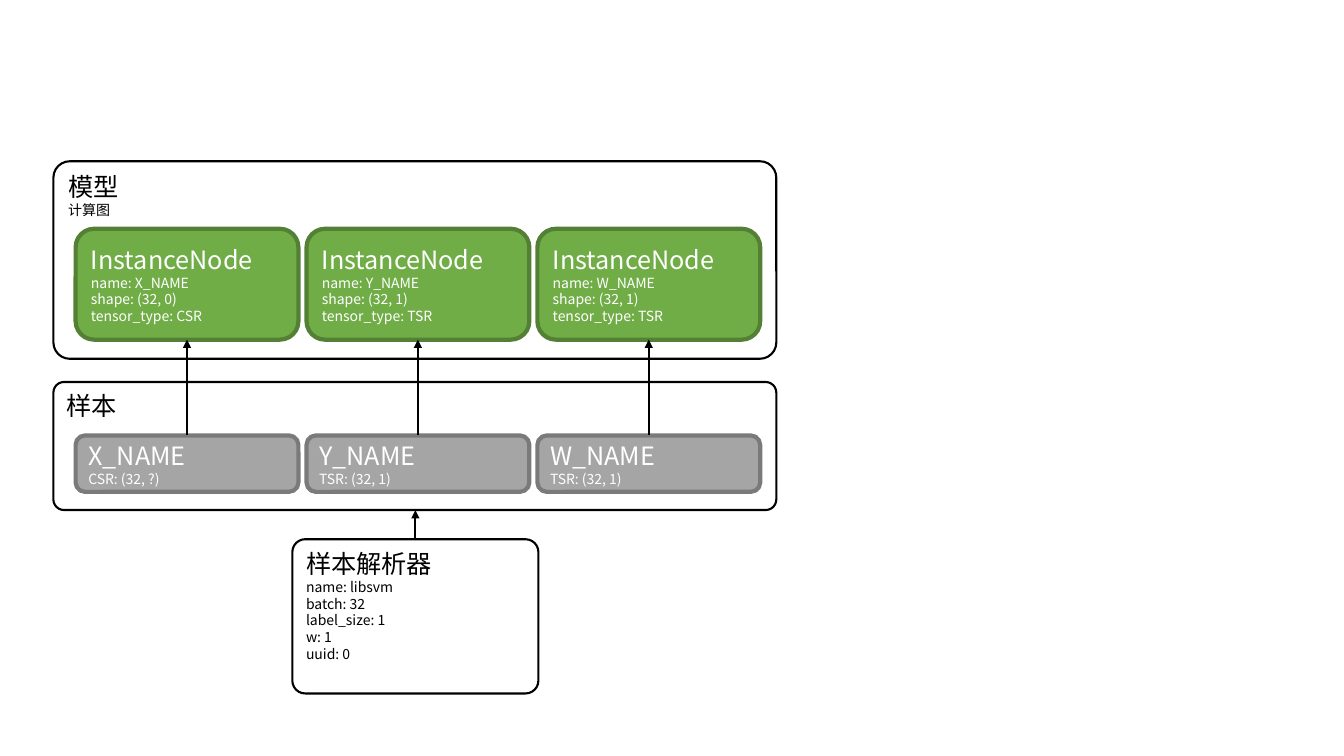
import pptx
import pptx.util
import pptx.dml.color
import pptx.enum.shapes
import pptx.enum.text
import pptx.oxml.ns
import lxml.etree

Inches = pptx.util.Inches
Pt = pptx.util.Pt
RGBColor = pptx.dml.color.RGBColor
Anchor = pptx.enum.text.MSO_ANCHOR

BLACK = RGBColor(0x00, 0x00, 0x00)
WHITE = RGBColor(0xFF, 0xFF, 0xFF)
GREEN = RGBColor(0x70, 0xAD, 0x47)
MOSS = RGBColor(0x53, 0x80, 0x35)
GRAY = RGBColor(0xA5, 0xA5, 0xA5)
STEEL = RGBColor(0x7A, 0x7A, 0x7A)


class Board:
    font = "Noto Sans CJK SC"
    title = Pt(18)
    body = Pt(10)
    thin = Pt(1.5)
    thick = Pt(3)

    def __init__(self, slide):
        self.slide = slide

    def child(self, parent, tag, **attrs):
        lxml.etree.SubElement(parent, pptx.oxml.ns.qn(tag), **attrs)

    def label(self, frame, lines, color, anchor):
        frame.word_wrap = True
        frame.vertical_anchor = anchor
        for i, line in enumerate(lines):
            para = frame.add_paragraph() if i else frame.paragraphs[0]
            para.alignment = pptx.enum.text.PP_ALIGN.LEFT
            run = para.add_run()
            run.text = line
            run.font.size = self.body if i else self.title
            run.font.color.rgb = color
            run.font.name = self.font
            self.child(run._r.get_or_add_rPr(), "a:ea", typeface=self.font)

    def box(self, left, top, width, height, edge, weight):
        shape = self.slide.shapes.add_shape(
            pptx.enum.shapes.MSO_SHAPE.ROUNDED_RECTANGLE,
            Inches(left), Inches(top), Inches(width), Inches(height))
        shape.shadow.inherit = False
        shape.line.color.rgb = edge
        shape.line.width = weight
        return shape

    def group(self, left, top, width, height, lines):
        shape = self.box(left, top, width, height, BLACK, self.thin)
        shape.adjustments[0] = 0.083
        shape.fill.background()
        self.label(shape.text_frame, lines, BLACK, Anchor.TOP)

    def card(self, left, top, width, height, lines, fill, edge):
        shape = self.box(left, top, width, height, edge, self.thick)
        shape.fill.solid()
        shape.fill.fore_color.rgb = fill
        self.label(shape.text_frame, lines, WHITE, Anchor.MIDDLE)

    def arrow(self, x, low, high):
        link = self.slide.shapes.add_connector(
            pptx.enum.shapes.MSO_CONNECTOR.STRAIGHT,
            Inches(x), Inches(low), Inches(x), Inches(high))
        link.line.color.rgb = BLACK
        link.line.width = self.thin
        props = link._element.spPr
        self.child(props.find(pptx.oxml.ns.qn("a:ln")), "a:tailEnd", type="triangle")
        self.child(props, "a:effectLst")


deck = pptx.Presentation()
deck.slide_width = Inches(13.33)
deck.slide_height = Inches(7.5)
board = Board(deck.slides.add_slide(deck.slide_layouts[6]))

board.group(0.53, 1.6, 7.17, 1.96, ["模型", "计算图"])
board.group(0.53, 3.79, 7.17, 1.27, ["样本"])
board.group(2.9, 5.35, 2.44, 1.53, [
    "样本解析器", "name: libsvm", "batch: 32", "label_size: 1", "w: 1", "uuid: 0"])
board.arrow(4.12, 5.35, 5.06)

inputs = [("X_NAME", "CSR", "0", "?"),
          ("Y_NAME", "TSR", "1", "1"),
          ("W_NAME", "TSR", "1", "1")]
wide = 2.21
for i, (name, kind, cols, size) in enumerate(inputs):
    left = 0.75 + 2.29 * i
    board.card(left, 4.32, wide, 0.56,
               [name, f"{kind}: (32, {size})"], GRAY, STEEL)
    board.card(left, 2.27, wide, 1.1,
               ["InstanceNode", f"name: {name}", f"shape: (32, {cols})",
                f"tensor_type: {kind}"], GREEN, MOSS)
    board.arrow(left + wide / 2, 4.32, 3.37)

deck.save("out.pptx")
